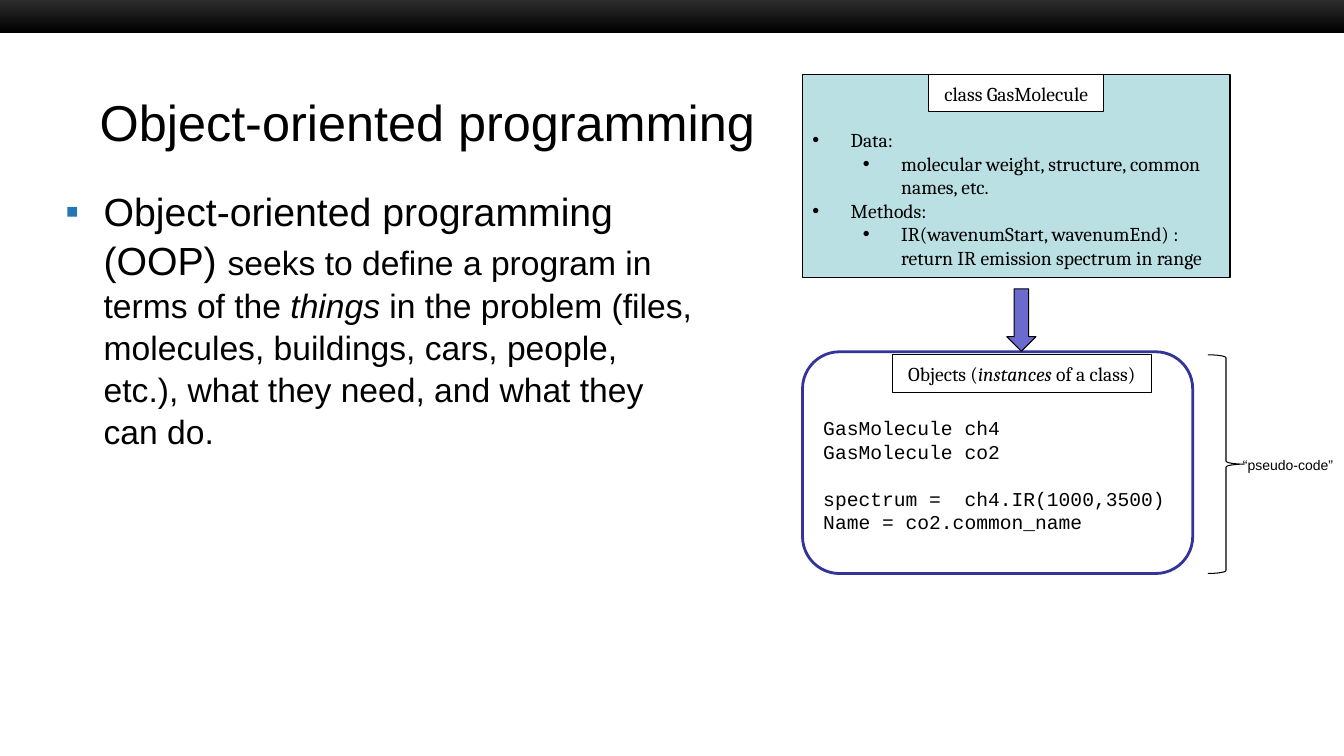
from dataclasses import dataclass, field
from typing import Any, Optional

import pptx
import pptx.dml.color
import pptx.enum.shapes
import pptx.enum.text
import pptx.oxml.ns
import pptx.util
from lxml import etree

SHAPE = pptx.enum.shapes.MSO_SHAPE
ANCHOR = pptx.enum.text.MSO_ANCHOR
ALIGN = pptx.enum.text.PP_ALIGN
PX = 9144  # EMU in one px, 100 px to the inch
HANG = 38  # hanging indent of every bullet


@dataclass(frozen=True)
class Theme:
    black: str = "000000"
    white: str = "FFFFFF"
    bar_top: str = "333333"
    bullet: str = "2675B4"
    class_fill: str = "BBE0E3"
    object_line: str = "333399"
    arrow_fill: str = "6B6BCF"
    sans: str = "Arial"
    serif: str = "Cambria"
    mono: str = "Courier New"
    title: int = 36
    lead: int = 28
    body: int = 24
    diagram: int = 14
    note: int = 10
    thin: float = 0.75
    thick: float = 2


T = Theme()
DIAGRAM_PITCH = pptx.util.Pt(16.8)


@dataclass
class Run:
    text: str
    size: int = T.diagram
    font: str = T.serif
    italic: bool = False


@dataclass
class Para:
    runs: list[Run]
    bullet: str = ""
    bullet_color: str = T.black
    indent: int = 0
    fmt: dict[str, Any] = field(default_factory=dict)


@dataclass
class Box:
    at: tuple[int, int, int, int]
    paras: list[Para] = field(default_factory=list)
    preset: Optional[Any] = None  # None makes a text box
    fill: Optional[str] = None
    line: Optional[str] = T.black
    weight: float = T.thin
    rotation: int = 0
    frame: dict[str, Any] = field(default_factory=dict)


def rgb(value: str) -> pptx.dml.color.RGBColor:
    return pptx.dml.color.RGBColor.from_string(value)


def set_all(target: Any, values: dict[str, Any]) -> None:
    for name, value in values.items():
        setattr(target, name, value)


def add_bullet(p: Any, para: Para) -> None:
    pPr = p._p.get_or_add_pPr()
    pPr.set("marL", str((para.indent + HANG) * PX))
    pPr.set("indent", str(-HANG * PX))
    qn = pptx.oxml.ns.qn
    color = etree.SubElement(pPr, qn("a:buClr"))
    etree.SubElement(color, qn("a:srgbClr"), val=para.bullet_color)
    etree.SubElement(pPr, qn("a:buFont"), typeface=T.sans)
    etree.SubElement(pPr, qn("a:buChar"), char=para.bullet)


def write(tf: Any, paras: list[Para]) -> None:
    for i, para in enumerate(paras):
        p = tf.add_paragraph() if i else tf.paragraphs[0]
        set_all(p, {"alignment": ALIGN.LEFT} | para.fmt)
        if para.bullet:
            add_bullet(p, para)
        for run in para.runs:
            r = p.add_run()
            r.text = run.text
            set_all(r.font, {"size": pptx.util.Pt(run.size), "name": run.font,
                             "italic": run.italic})
            r.font.color.rgb = rgb(T.black)


def draw(s: Any, box: Box) -> Any:
    area = [v * PX for v in box.at]
    if box.preset is None:
        sp = s.shapes.add_textbox(*area)
    else:
        sp = s.shapes.add_shape(box.preset, *area)
        sp.shadow.inherit = False
        sp.rotation = box.rotation
        if box.fill:
            sp.fill.solid()
            sp.fill.fore_color.rgb = rgb(box.fill)
        else:
            sp.fill.background()
        if box.line:
            sp.line.color.rgb = rgb(box.line)
            sp.line.width = pptx.util.Pt(box.weight)
        else:
            sp.line.fill.background()
    if box.paras:
        set_all(sp.text_frame, {"word_wrap": True} | box.frame)
        write(sp.text_frame, box.paras)
    return sp


def item(text: str, level: int) -> Para:
    return Para([Run(text)], "•", indent=50 * level,
                fmt={"level": level, "line_spacing": DIAGRAM_PITCH})


def code(text: str, gap: int = 0) -> Para:
    return Para([Run(text, font=T.mono)],
                fmt={"line_spacing": DIAGRAM_PITCH, "space_before": gap})


def label(at: tuple[int, int, int, int], *runs: Run) -> Box:
    return Box(at, [Para(list(runs), fmt={"alignment": ALIGN.CENTER})],
               SHAPE.RECTANGLE, T.white, frame={"vertical_anchor": ANCHOR.MIDDLE})


# Room for the label above the text of each panel
PANEL_FRAME = {"vertical_anchor": ANCHOR.TOP, "margin_top": 53 * PX}

BOXES = [
    # Title and body
    Box((89, 83, 1156, 75),
        [Para([Run("Object-oriented programming", T.title, T.sans)])],
        frame={"vertical_anchor": ANCHOR.MIDDLE}),
    Box((55, 179, 642, 503), [Para([
        Run("Object-oriented programming (OOP) ", T.lead, T.sans),
        Run("seeks to define a program in terms of the ", T.body, T.sans),
        Run("things", T.body, T.sans, italic=True),
        Run(" in the problem (files, molecules, buildings, cars, people, etc.), "
            "what they need, and what they can do.", T.body, T.sans),
    ], "▪", T.bullet, fmt={"line_spacing": 1.045})]),
    # Class panel
    Box((796, 74, 424, 201), [
        item("Data:", 0),
        item("molecular weight, structure, common names, etc.", 1),
        item("Methods:", 0),
        item("IR(wavenumStart, wavenumEnd) : return IR emission spectrum in range", 1),
    ], SHAPE.RECTANGLE, T.class_fill, frame=PANEL_FRAME),
    label((921, 74, 174, 37), Run("class GasMolecule")),
    # Objects panel
    Box((796, 349, 387, 220), [
        code("GasMolecule ch4"),
        code("GasMolecule co2"),
        code("spectrum =  ch4.IR(1000,3500)", gap=DIAGRAM_PITCH),
        code("Name = co2.common_name"),
    ], SHAPE.ROUNDED_RECTANGLE, T.white, T.object_line, T.thick, frame=PANEL_FRAME),
    label((885, 352, 257, 37), Run("Objects ("), Run("instances", italic=True),
          Run(" of a class)")),
    # Arrow, brace and its note
    Box((982, 303, 62, 29), preset=SHAPE.RIGHT_ARROW, fill=T.arrow_fill, rotation=90),
    Box((1198, 352, 36, 217), preset=SHAPE.RIGHT_BRACE),
    Box((1223, 448, 110, 27), [Para([Run("“pseudo-code”", T.note, T.sans)])],
        frame={"word_wrap": False}),
]


def main() -> None:
    prs = pptx.Presentation()
    set_all(prs, {"slide_width": 1333 * PX, "slide_height": 750 * PX})
    s = prs.slides.add_slide(prs.slide_layouts[6])

    # Top bar
    bar = draw(s, Box((0, -5, 1333, 38), preset=SHAPE.RECTANGLE, line=None))
    bar.fill.gradient()
    bar.fill.gradient_angle = 270
    for stop, color in zip(bar.fill.gradient_stops, (T.bar_top, T.black)):
        stop.color.rgb = rgb(color)

    for box in BOXES:
        draw(s, box)
    prs.save("out.pptx")


if __name__ == "__main__":
    main()
